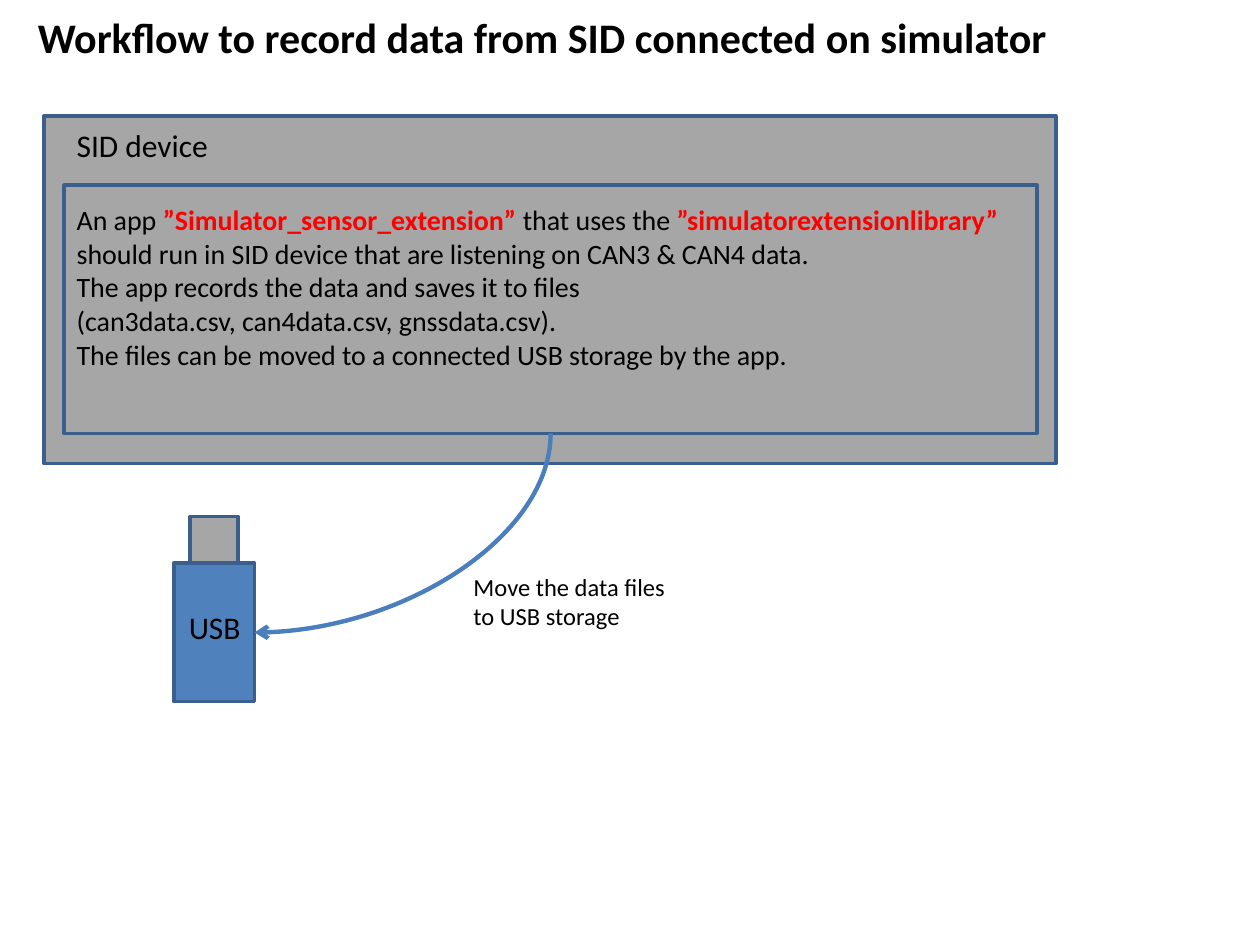
import pptx
import pptx.util
import pptx.dml.color
import pptx.enum.shapes
import pptx.enum.text
import pptx.oxml
import pptx.oxml.ns

FONT = "Calibri"
BLACK, RED, GREY = "000000", "FF0000", "A6A6A6"
BLUE, OUTLINE, ARROW = "4F81BD", "3A5F8C", "4B7EBC"

TITLE = "Workflow to record data from SID connected on simulator"
APP_TEXT = [
    [("An app ", BLACK, False), ("”Simulator_sensor_extension” ", RED, True),
     ("that uses the ", BLACK, False), ("”simulatorextensionlibrary”", RED, True)],
    [("should run in SID device that are listening on CAN3 & CAN4 data.", BLACK, False)],
    [("The app records the data and saves it to files", BLACK, False)],
    [("(can3data.csv, can4data.csv, gnssdata.csv).", BLACK, False)],
    [("The files can be moved to a connected USB storage by the app.", BLACK, False)],
]

# left, top, width, height in inches
DEVICE = (0.35, 0.92, 8.03, 2.76)
APP = (0.51, 1.47, 7.72, 1.97)
USB_BODY = (1.38, 4.47, 0.64, 1.1)
USB_PLUG = (1.51, 4.1, 0.38, 0.37)


def inches(*values):
    return [pptx.util.Inches(v) for v in values]


def rgb(color):
    return pptx.dml.color.RGBColor.from_string(color)


def plain(text, bold=False):
    return [[(text, BLACK, bold)]]


def write(sp, paragraphs, size, wrap=False):
    """Fill a shape's text frame, one (text, colour, bold) run at a time."""
    tf = sp.text_frame
    tf.word_wrap = wrap
    tf.auto_size = pptx.enum.text.MSO_AUTO_SIZE.SHAPE_TO_FIT_TEXT
    tf.vertical_anchor = pptx.enum.text.MSO_ANCHOR.TOP
    for i, runs in enumerate(paragraphs):
        p = tf.paragraphs[0] if i == 0 else tf.add_paragraph()
        p.alignment = pptx.enum.text.PP_ALIGN.LEFT
        for text, color, bold in runs:
            r = p.add_run()
            r.text = text
            r.font.name = FONT
            r.font.size = pptx.util.Pt(size)
            r.font.bold = bold
            r.font.color.rgb = rgb(color)


def add_text(shapes, box, paragraphs, size, wrap=False):
    write(shapes.add_textbox(*inches(*box)), paragraphs, size, wrap)


def add_box(shapes, box, fill=None):
    sp = shapes.add_shape(pptx.enum.shapes.MSO_SHAPE.RECTANGLE, *inches(*box))
    sp.shadow.inherit = False
    if fill:
        sp.fill.solid()
        sp.fill.fore_color.rgb = rgb(fill)
    else:
        sp.fill.background()
    sp.line.color.rgb = rgb(OUTLINE)
    sp.line.width = pptx.util.Pt(2)


def add_curved_arrow(shapes, start, end):
    """Quarter curve that leaves start downwards and reaches end leftwards."""
    (x1, y1), (x2, y2) = start, end
    cx, cy = (x1 + x2) / 2, (y1 + y2) / 2
    # The quarter turn swaps the frame's width and height about its centre.
    half_w, half_h = (y2 - y1) / 2, (x1 - x2) / 2
    line = shapes.add_connector(
        pptx.enum.shapes.MSO_CONNECTOR.CURVE,
        *inches(cx - half_w, cy - half_h, cx + half_w, cy + half_h))
    line.line.color.rgb = rgb(ARROW)
    line.line.width = pptx.util.Pt(2.5)
    sppr = line._element.spPr
    sppr.find(pptx.oxml.ns.qn("a:xfrm")).set("rot", str(90 * 60000))
    sppr.find(pptx.oxml.ns.qn("a:prstGeom")).set("prst", "curvedConnector2")
    ns = pptx.oxml.ns.nsdecls("a")
    sppr.find(pptx.oxml.ns.qn("a:ln")).append(
        pptx.oxml.parse_xml(f'<a:tailEnd {ns} type="arrow"/>'))
    sppr.append(pptx.oxml.parse_xml(f"<a:effectLst {ns}/>"))


def main():
    prs = pptx.Presentation()
    prs.slide_width, prs.slide_height = inches(10, 7.5)
    s = prs.slides.add_slide(prs.slide_layouts[5])

    title = s.shapes.title
    title.left, title.top, title.width, title.height = inches(0.2, 0.04, 8.28, 0.5)
    write(title, plain(TITLE, bold=True), 24)

    add_box(s.shapes, DEVICE, GREY)
    add_box(s.shapes, APP)
    add_text(s.shapes, (APP[0], 1.56, 7.61, 1.45), APP_TEXT, 16)
    add_text(s.shapes, (APP[0], 0.95, 1.26, 0.4), plain("SID device"), 18)

    usb = s.shapes.add_group_shape().shapes
    add_box(usb, USB_BODY, BLUE)
    add_box(usb, USB_PLUG, GREY)
    add_text(usb, (1.4, 4.78, 0.62, 0.4), plain("USB"), 18)

    app_bottom = (APP[0] + APP[2] / 2, APP[1] + APP[3])
    usb_side = (USB_BODY[0] + USB_BODY[2], USB_BODY[1] + USB_BODY[3] / 2)
    add_curved_arrow(s.shapes, app_bottom, usb_side)
    add_text(s.shapes, (3.66, 4.49, 1.73, 0.57),
             plain("Move the data files to USB storage"), 14, wrap=True)

    prs.save("out.pptx")


if __name__ == "__main__":
    main()
